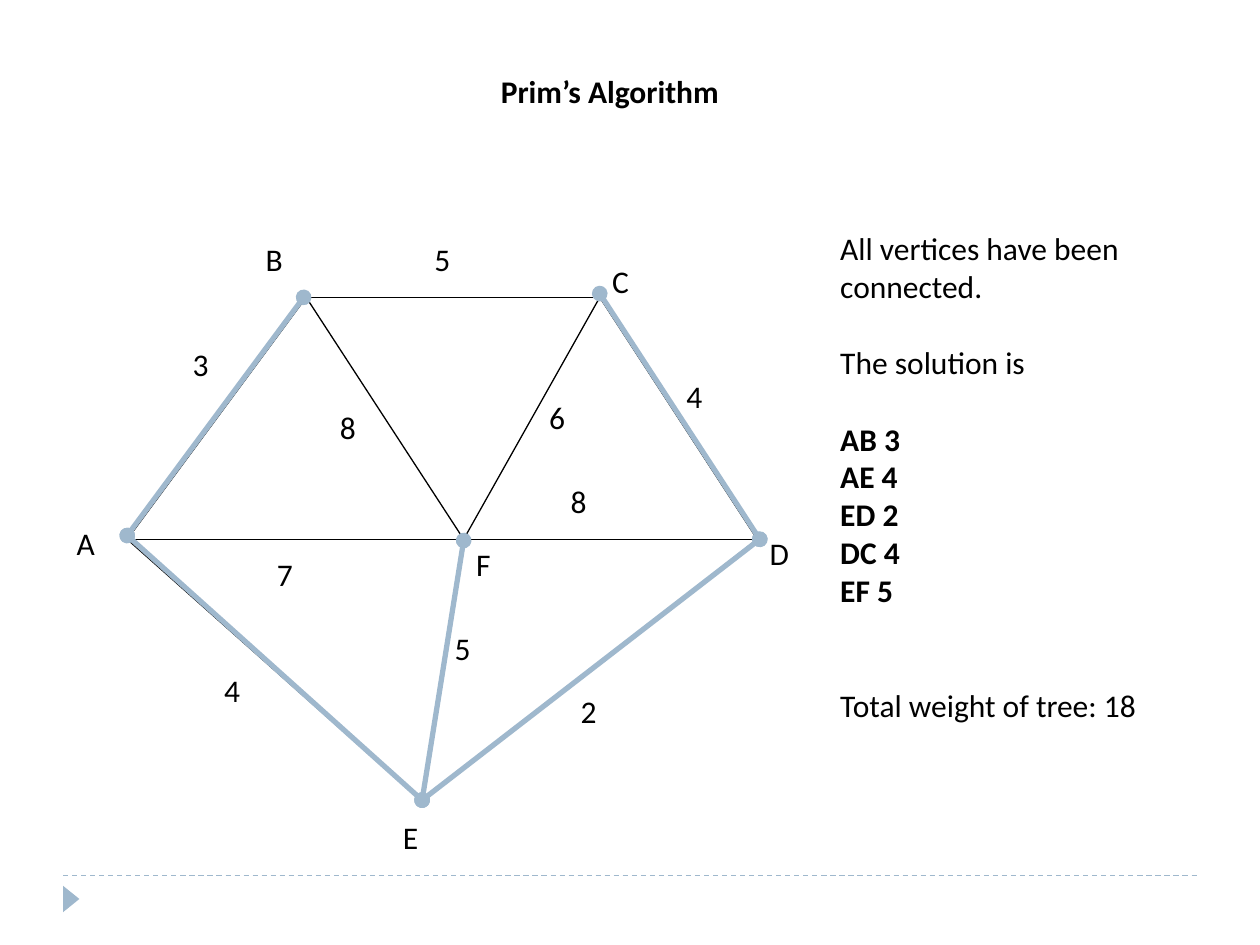
"""Build the slide that shows the spanning tree found by Prim's algorithm."""
from lxml.etree import SubElement as Sub
from pptx import Presentation
from pptx.dml.color import RGBColor as Rgb
from pptx.enum.dml import MSO_LINE as Dash
from pptx.enum.shapes import MSO_CONNECTOR as Link, MSO_SHAPE as Form
from pptx.enum.text import MSO_AUTO_SIZE as Fit, PP_ALIGN as Align
from pptx.oxml.ns import qn
from pptx.util import Inches, Pt

HUES = {"ink": "000000", "tree": "9FB8CD"}

deck = Presentation()
deck.slide_width, deck.slide_height = Inches(10), Inches(7.5)
slide = deck.slides.add_slide(deck.slide_layouts[6])
shapes = slide.shapes


def write(rows, x, y, w=0.5, h=0.5, bold=(), gaps={}, align=Align.LEFT, hang=0):
    box = shapes.add_textbox(Inches(x), Inches(y), Inches(w), Inches(h))
    frame = box.text_frame
    frame.word_wrap = True
    frame.auto_size = Fit.SHAPE_TO_FIT_TEXT
    for i, row in enumerate(rows):
        para = frame.paragraphs[0] if i == 0 else frame.add_paragraph()
        para.alignment = align
        if i in gaps:
            para.space_before = Pt(gaps[i])
        if hang:
            props = para._p.get_or_add_pPr()
            props.set("marL", str(Inches(hang)))
            props.set("indent", str(-Inches(hang)))
        run = para.add_run()
        run.text = row
        font = run.font
        font.name, font.size, font.bold = "Calibri", Pt(18), i in bold
        font.color.rgb = Rgb.from_string(HUES["ink"])


def draw(start, end, hue="ink", width=0.75, dash=None, dots=False):
    ends = [Inches(n) for n in (*start, *end)]
    edge = shapes.add_connector(Link.STRAIGHT, *ends)
    line = edge.line
    line.color.rgb = Rgb.from_string(HUES[hue])
    line.width = Pt(width)
    if dash:
        line.dash_style = dash
    if dots:
        for tag in ("a:headEnd", "a:tailEnd"):
            Sub(line._get_or_add_ln(), qn(tag), type="oval")
    Sub(edge._element.spPr, qn("a:effectLst"))


draw((0.5, 6.95), (9.5, 6.95), hue="tree", dash=Dash.DASH)
mark = shapes.add_shape(
    Form.ISOSCELES_TRIANGLE, Inches(0.46), Inches(7.07), Inches(0.21), Inches(0.13))
mark.rotation = 90
mark.shadow.inherit = False
mark.fill.solid()
mark.fill.fore_color.rgb = Rgb.from_string(HUES["tree"])
mark.line.fill.background()

write(["Prim’s Algorithm"], 0.9, 0.52, w=7.88, bold=[0], align=Align.CENTER)

nodes = {"A": (1.01, 4.28), "B": (2.43, 2.36), "C": (4.76, 2.36),
         "D": (6.01, 4.28), "E": (3.35, 6.36), "F": (3.68, 4.28)}
for a, b in ("AB", "BC", "CD", "AF", "FD", "BF", "FC", "AE", "EF", "ED"):
    draw(nodes[a], nodes[b])

labels = [
    ("A", 0.51, 4.11), ("F", 3.68, 4.28), ("B", 2.01, 1.86), ("C", 4.76, 2.03),
    ("D", 6.01, 4.19), ("E", 3.1, 6.44), ("2", 4.51, 5.44), ("7", 2.1, 4.36),
    ("4", 1.68, 5.28), ("5", 3.51, 4.94), ("8", 2.6, 3.19), ("6", 4.26, 3.11),
    ("4", 5.35, 2.94), ("5", 3.35, 1.86), ("3", 1.43, 2.69), ("8", 4.43, 3.78),
]
for name, x, y in labels:
    write([name], x, y)

steps = ["AB 3", "AE 4", "ED 2", "DC 4", "EF 5"]
write(["All vertices have been", "connected.", "The solution is", *steps,
       "Total weight of tree: 18"],
      6.57, 1.77, w=3.15, h=4.81, bold=range(3, 8),
      gaps={2: 22, 3: 22, 8: 44}, hang=0.5)

tips = {"A": (1.01, 4.25), "B": (2.41, 2.36), "C": (4.76, 2.33),
        "D": (6.03, 4.28), "E": (3.35, 6.35), "F": (3.68, 4.29)}
for a, b in ("AB", "AE", "ED", "DC", "EF"):
    draw(tips[a], tips[b], hue="tree", width=3, dots=True)

deck.save("out.pptx")
